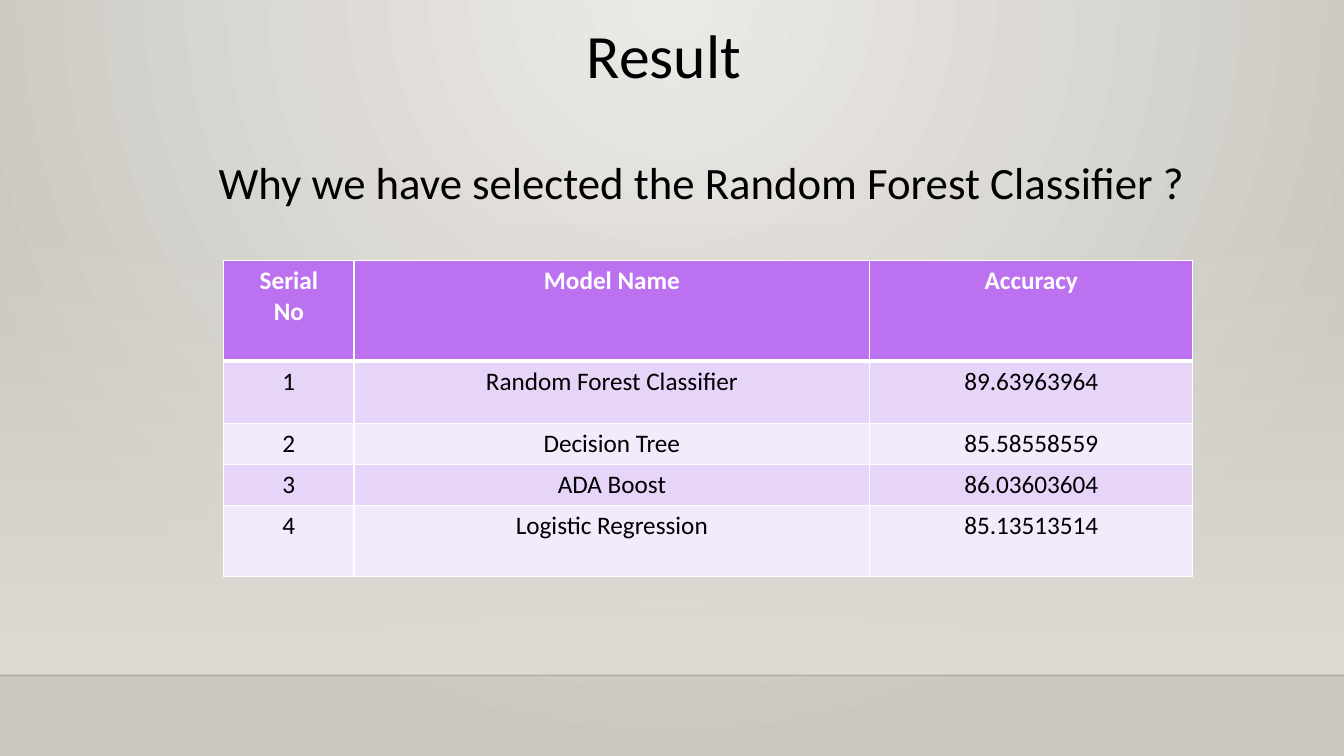
from lxml.etree import SubElement
from pptx import Presentation
from pptx.dml.color import RGBColor
from pptx.enum.shapes import MSO_CONNECTOR, MSO_SHAPE
from pptx.enum.text import MSO_ANCHOR, MSO_AUTO_SIZE, PP_ALIGN
from pptx.oxml import parse_xml
from pptx.oxml.ns import nsdecls, qn
from pptx.util import Cm, Pt

FONT = "Calibri"
BLACK = RGBColor(0x00, 0x00, 0x00)
WHITE = RGBColor(0xFF, 0xFF, 0xFF)
WALL_LIGHT = RGBColor(0xEC, 0xEA, 0xE7)
WALL_DARK = RGBColor(0xCA, 0xC7, 0xC1)
GLOW = RGBColor(0xDF, 0xDB, 0xD5)
HEADER_PURPLE = RGBColor(0xBC, 0x72, 0xF0)
BAND_DARK = RGBColor(0xE7, 0xD5, 0xF9)
BAND_LIGHT = RGBColor(0xF3, 0xEB, 0xFC)

SLIDE_WIDTH = Cm(33.87)
SLIDE_HEIGHT = Cm(19.05)
COLUMN_WIDTHS = [3.28, 13, 8.14]
ROW_HEIGHTS = [2.54, 1.57, 1.03, 1.03, 1.8]
RESULTS = [
    ("Serial\nNo", "Model Name", "Accuracy"),
    ("1", "Random Forest Classifier", "89.63963964"),
    ("2", "Decision Tree", "85.58558559"),
    ("3", "ADA Boost", "86.03603604"),
    ("4", "Logistic Regression", "85.13513514"),
]


def set_gradient(fill, colors):
    fill.gradient()
    for stop, color in zip(fill.gradient_stops, colors):
        stop.color.rgb = color


def set_opacity(color_element, percent):
    SubElement(color_element, qn("a:alpha"), val=str(percent * 1000))


def format_text(text_frame, size, color, alignment, bold=False):
    for paragraph in text_frame.paragraphs:
        paragraph.alignment = alignment
        for run in paragraph.runs:
            run.font.name = FONT
            run.font.size = Pt(size)
            run.font.bold = bold
            run.font.color.rgb = color


def paint_background(slide):
    set_gradient(slide.background.fill, (WALL_LIGHT, WALL_DARK))
    gradient = next(slide.element.iter(qn("a:gradFill")))
    gradient.replace(gradient.find(qn("a:lin")), parse_xml(
        f'<a:path {nsdecls("a")} path="circle">'
        '<a:fillToRect l="43000" t="0" r="43000" b="100000"/></a:path>'))


def add_floor(slide, left, top, width, height):
    glow = slide.shapes.add_shape(MSO_SHAPE.RECTANGLE, left, top, width, height)
    glow.shadow.inherit = False
    glow.line.fill.background()
    set_gradient(glow.fill, (GLOW, GLOW))
    glow.fill.gradient_angle = 270
    first_stop = next(glow.element.iter(qn("a:gs")))
    set_opacity(first_stop.find(qn("a:srgbClr")), 0)

    edge = slide.shapes.add_connector(
        MSO_CONNECTOR.STRAIGHT, left, top + height, left + width, top + height)
    edge.line.color.rgb = BLACK
    edge.line.width = Pt(1)
    set_opacity(next(edge.element.spPr.iter(qn("a:srgbClr"))), 20)
    SubElement(edge.element.spPr, qn("a:effectLst"))


def place_text(shape, text, size, left, top, width, height):
    shape.left, shape.top, shape.width, shape.height = left, top, width, height
    text_frame = shape.text_frame
    text_frame.text = text
    text_frame.word_wrap = True
    text_frame.auto_size = MSO_AUTO_SIZE.NONE
    text_frame.vertical_anchor = MSO_ANCHOR.TOP
    format_text(text_frame, size, BLACK, PP_ALIGN.LEFT)


def set_borders(cell, top, bottom):
    properties = cell._tc.get_or_add_tcPr()
    widths = {"lnL": 1, "lnR": 1, "lnT": top, "lnB": bottom}
    for index, (side, width) in enumerate(widths.items()):
        properties.insert(index, parse_xml(
            f'<a:{side} {nsdecls("a")} w="{Pt(width)}"><a:solidFill>'
            f'<a:srgbClr val="{WHITE}"/></a:solidFill></a:{side}>'))


def add_results_table(slide, left, top, width, height):
    table = slide.shapes.add_table(
        len(RESULTS), len(COLUMN_WIDTHS), left, top, width, height).table
    for column, column_width in zip(table.columns, COLUMN_WIDTHS):
        column.width = Cm(column_width)
    for row_index, values in enumerate(RESULTS):
        table.rows[row_index].height = Cm(ROW_HEIGHTS[row_index])
        is_header = row_index == 0
        band = BAND_DARK if row_index % 2 else BAND_LIGHT
        for cell, value in zip(table.rows[row_index].cells, values):
            cell.text_frame.text = value
            cell.fill.solid()
            cell.fill.fore_color.rgb = HEADER_PURPLE if is_header else band
            format_text(cell.text_frame, 18, WHITE if is_header else BLACK,
                        PP_ALIGN.CENTER, is_header)
            set_borders(cell, 3 if row_index == 1 else 1, 3 if is_header else 1)


def build_result_slide(presentation):
    slide = presentation.slides.add_slide(presentation.slide_layouts[5])
    paint_background(slide)
    add_floor(slide, 0, Cm(5.61), SLIDE_WIDTH, Cm(11.41))
    add_results_table(slide, Cm(5.64), Cm(6.56),
                      Cm(sum(COLUMN_WIDTHS)), Cm(sum(ROW_HEIGHTS)))
    question_box = (Cm(5.26), Cm(3.78), Cm(25.58), Cm(1.62))
    place_text(slide.shapes.add_textbox(*question_box),
               "Why we have selected the Random Forest Classifier ?",
               32, *question_box)
    place_text(slide.shapes.title, "Result", 44,
               Cm(14.53), Cm(0.3), Cm(9.9), Cm(2.14))


def main():
    presentation = Presentation()
    presentation.slide_width = SLIDE_WIDTH
    presentation.slide_height = SLIDE_HEIGHT
    build_result_slide(presentation)
    presentation.save("out.pptx")


if __name__ == "__main__":
    main()
